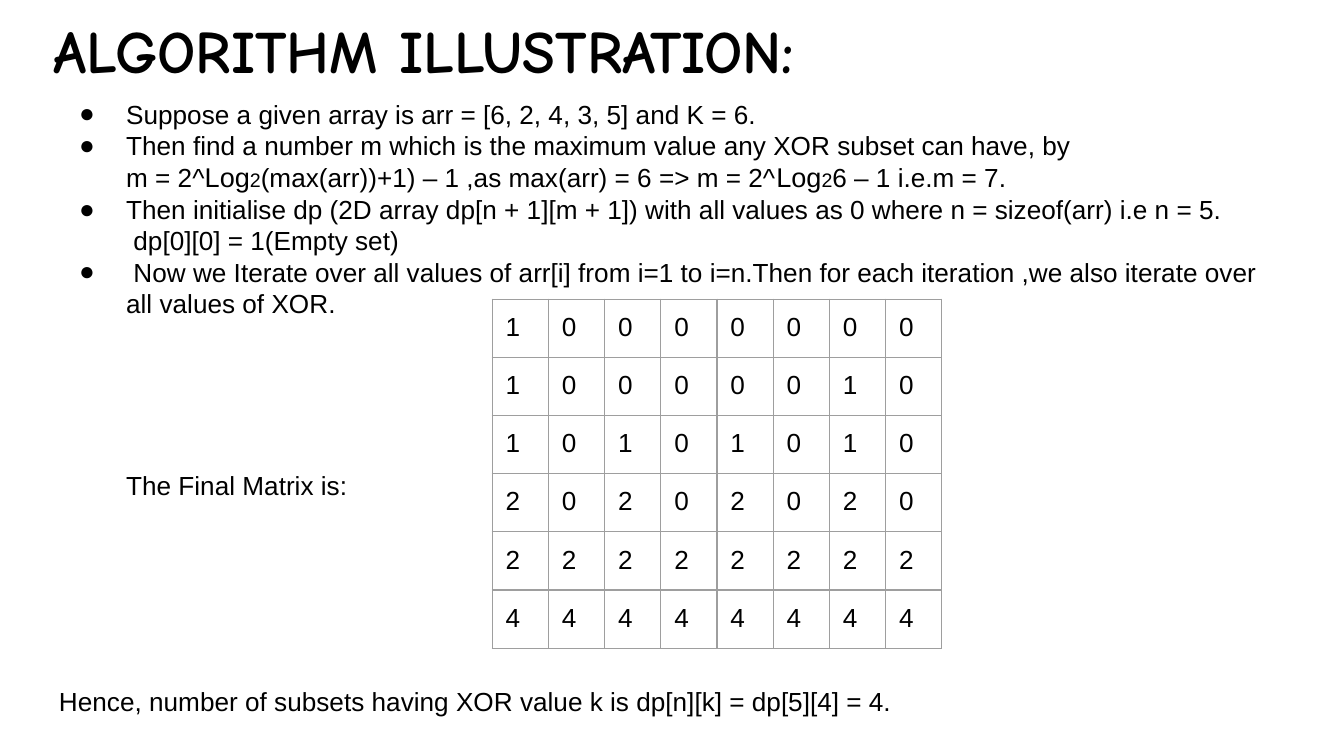
from dataclasses import dataclass

from lxml import etree
from pptx import Presentation
from pptx.dml.color import RGBColor
from pptx.enum.text import MSO_ANCHOR, MSO_AUTO_SIZE, PP_ALIGN
from pptx.oxml.ns import qn
from pptx.util import Pt

LEFT = PP_ALIGN.LEFT
TOP = MSO_ANCHOR.TOP
NO_FIT = MSO_AUTO_SIZE.NONE
TITLE_ONLY = 5


@dataclass(frozen=True)
class Theme:
    ink: str = "000000"
    grid: str = "9E9E9E"
    title_font: str = "Comic Neue"
    body_font: str = "Arial"
    title_size: float = 32.2
    body_size: float = 14
    log_size: float = 14.5
    base_size: float = 10.5
    inset: float = 7.2


THEME = Theme()
HANGING = {"marL": Pt(36), "indent": Pt(-25.2)}
CONTINUED = {"marL": Pt(36), "indent": Pt(0)}
FIRST_LINE = {"marL": Pt(0), "indent": Pt(36)}
FLUSH = {"marL": Pt(0), "indent": Pt(0)}

LOG2 = [("Log", THEME.log_size), ("2", THEME.base_size)]
FORMULA = [
    "m = 2^", *LOG2,
    "(max(arr))+1) – 1 ,as max(arr) = 6 => m = 2^", *LOG2,
    "6 – 1 i.e.m = 7.",
]

# Runs, indent, space before, line spacing
STEPS = [
    (["Suppose a given array is arr = [6, 2, 4, 3, 5] and K = 6."], HANGING, 0, 1.0),
    (["Then find a number m which is the maximum value any XOR subset can have, by"],
     HANGING, 0, 1.0),
    (FORMULA, CONTINUED, 0, 1.0),
    (["Then initialise dp (2D array dp[n + 1][m + 1]) with all values as 0 "
      "where n = sizeof(arr) i.e n = 5."], HANGING, 0, 1.0),
    ([" dp[0][0] = 1(Empty set)"], CONTINUED, 0, 1.0),
    ([" Now we Iterate over all values of arr[i] from i=1 to i=n.Then for each "
      "iteration ,we also iterate over all values of XOR."], HANGING, 0, 1.0),
    (["The Final Matrix is:"], FIRST_LINE, 80.4, 1.0),
    (["Hence, number of subsets having XOR value k is dp[n][k] = dp[5][4] = 4."],
     FLUSH, 96.7, 1.15),
]

MATRIX = ["10000000", "10000010", "10101010", "20202020", "22222222", "44444444"]


def set_all(obj, values):
    for name, value in values.items():
        setattr(obj, name, value)


def set_frame(tf):
    margins = ("margin_left", "margin_top", "margin_right", "margin_bottom")
    set_all(tf, dict.fromkeys(margins, Pt(THEME.inset)))
    set_all(tf, {"word_wrap": True, "auto_size": NO_FIT, "vertical_anchor": TOP})


def add_run(p, text, size=THEME.body_size, font=THEME.body_font, bold=False):
    r = p.add_run()
    r.text = text
    set_all(r.font, {"size": Pt(size), "name": font, "bold": bold})
    r.font.color.rgb = RGBColor.from_string(THEME.ink)


def add_bullet(p):
    pPr = p._p.get_or_add_pPr()
    color = etree.SubElement(pPr, qn("a:buClr"))
    etree.SubElement(color, qn("a:srgbClr"), val=THEME.ink)
    etree.SubElement(pPr, qn("a:buFont"), typeface=THEME.body_font)
    etree.SubElement(pPr, qn("a:buChar"), char="●")


def add_title(slide, text):
    sp = slide.shapes.title
    set_all(sp, {"left": Pt(21.6), "top": Pt(0), "width": Pt(671), "height": Pt(45.4)})
    set_frame(sp.text_frame)
    p = sp.text_frame.paragraphs[0]
    p.alignment = LEFT
    add_run(p, text, THEME.title_size, THEME.title_font, True)


def add_steps(slide, steps):
    sp = slide.shapes.add_textbox(Pt(24.5), Pt(45.4), Pt(671), Pt(359.6))
    tf = sp.text_frame
    set_frame(tf)
    for i, (runs, indent, before, spacing) in enumerate(steps):
        p = tf.add_paragraph() if i else tf.paragraphs[0]
        set_all(p, {"alignment": LEFT, "line_spacing": spacing,
                    "space_before": Pt(before)})
        for name, value in indent.items():
            p._p.get_or_add_pPr().set(name, str(value))
        if indent is HANGING:
            add_bullet(p)
        for run in runs:
            add_run(p, *([run] if isinstance(run, str) else run))


def set_borders(cell):
    tcPr = cell._tc.get_or_add_tcPr()
    for i, side in enumerate(("lnL", "lnR", "lnT", "lnB")):
        ln = etree.Element(qn(f"a:{side}"), w=str(Pt(0.75)))
        fill = etree.SubElement(ln, qn("a:solidFill"))
        etree.SubElement(fill, qn("a:srgbClr"), val=THEME.grid)
        tcPr.insert(i, ln)


def add_matrix(slide, rows, col_width=30.13, row_height=31.16):
    n_rows, n_cols = len(rows), len(rows[0])
    table = slide.shapes.add_table(
        n_rows, n_cols, Pt(263.7), Pt(160.3),
        Pt(col_width * n_cols), Pt(row_height * n_rows)).table
    set_all(table, {"first_row": False, "horz_banding": False})
    for col in table.columns:
        col.width = Pt(col_width)
    for row, values in zip(table.rows, rows):
        row.height = Pt(row_height)
        for cell, value in zip(row.cells, values):
            margins = ("margin_left", "margin_top", "margin_right", "margin_bottom")
            set_all(cell, dict.fromkeys(margins, Pt(THEME.inset)))
            cell.vertical_anchor = TOP
            cell.fill.background()
            set_borders(cell)
            add_run(cell.text_frame.paragraphs[0], value)


def main():
    prs = Presentation()
    set_all(prs, {"slide_width": Pt(720), "slide_height": Pt(405)})
    slide = prs.slides.add_slide(prs.slide_layouts[TITLE_ONLY])
    add_title(slide, "ALGORITHM ILLUSTRATION:")
    add_steps(slide, STEPS)
    add_matrix(slide, MATRIX)
    prs.save("out.pptx")


if __name__ == "__main__":
    main()
